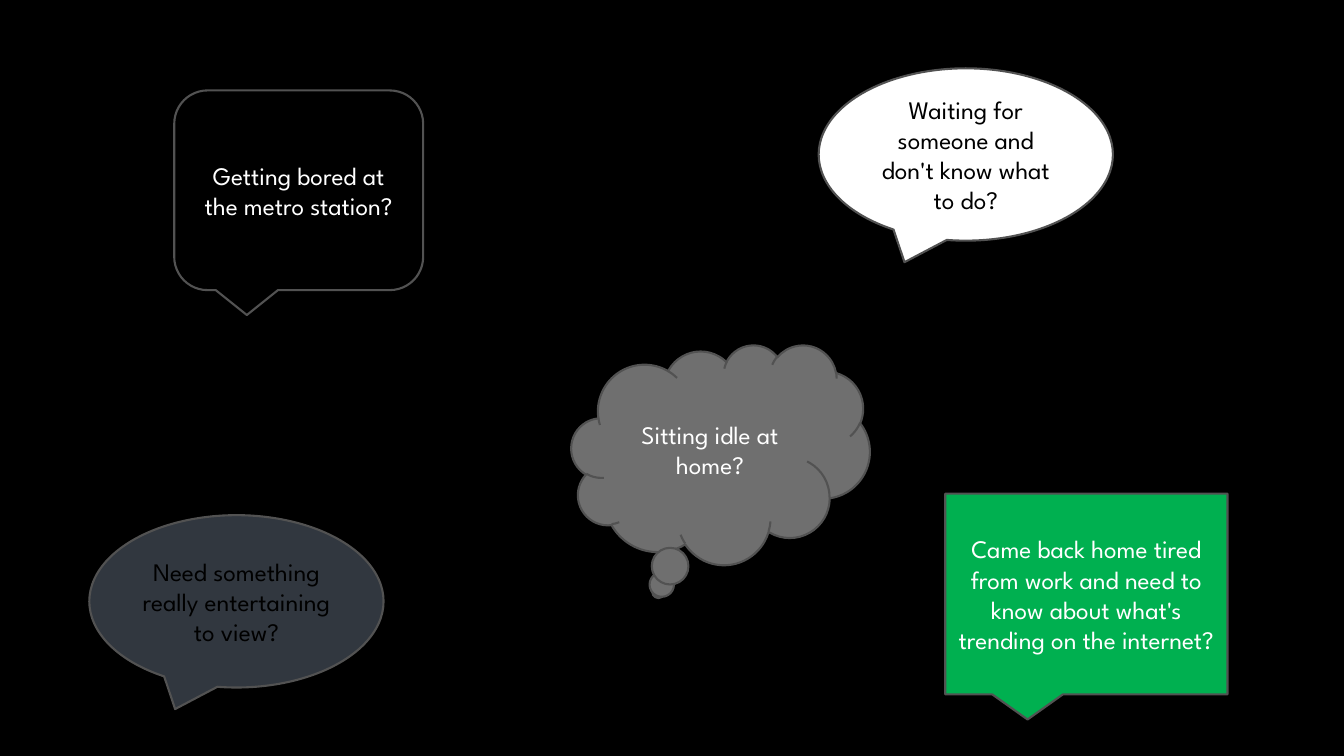
"""Build a slide of five speech bubbles on a black background."""
from pptx import Presentation
from pptx.dml.color import RGBColor
from pptx.enum.shapes import MSO_SHAPE as Preset
from pptx.enum.text import MSO_ANCHOR as Anchor, PP_ALIGN as Align
from pptx.util import Pt

COLORS = {
    "black": "000000",
    "white": "FFFFFF",
    "outline": "525252",
    "gray": "6F6F6F",
    "slate": "31373F",
    "green": "00B050",
}
FONT = "League Spartan"
ELLIPSE_SIZE = (210.2, 123.1)

BUBBLES = [
    ("Getting bored at the metro station?", Preset.ROUNDED_RECTANGULAR_CALLOUT,
     (124.5, 64.6), (177.8, 142.6), "black", "white"),
    ("Sitting idle at home?", Preset.CLOUD_CALLOUT,
     (408.2, 246.2), (213.1, 157), "gray", "white"),
    ("Need something really entertaining to view?", Preset.OVAL_CALLOUT,
     (63.8, 368), ELLIPSE_SIZE, "slate", "black"),
    ("Came back home tired from work and need to know about what's trending on the internet?",
     Preset.RECTANGULAR_CALLOUT, (675.2, 352.6), (201.6, 143.4), "green", "white"),
    ("Waiting for someone and don't know what to do?", Preset.OVAL_CALLOUT,
     (584.8, 48.8), ELLIPSE_SIZE, "white", "black"),
]


def paint(fill, color):
    fill.solid()
    fill.fore_color.rgb = RGBColor.from_string(COLORS[color])


def write_text(shape, text, *, color, size=18, font=FONT, align=Align.CENTER):
    frame = shape.text_frame
    frame.word_wrap = True
    frame.vertical_anchor = Anchor.MIDDLE
    paragraph = frame.paragraphs[0]
    paragraph.alignment = align
    run = paragraph.add_run()
    run.text = text
    run.font.name = font
    run.font.size = Pt(size)
    run.font.color.rgb = RGBColor.from_string(COLORS[color])


def add_bubble(slide, text, preset, position, size, fill, text_color):
    shape = slide.shapes.add_shape(preset, *map(Pt, position + size))
    shape.shadow.inherit = False
    paint(shape.fill, fill)
    paint(shape.line.fill, "outline")
    shape.line.width = Pt(1.5)
    write_text(shape, text, color=text_color)


def main():
    presentation = Presentation()
    presentation.slide_width, presentation.slide_height = Pt(960), Pt(540)
    slide = presentation.slides.add_slide(presentation.slide_layouts[6])
    paint(slide.background.fill, "black")
    for bubble in BUBBLES:
        add_bubble(slide, *bubble)
    presentation.save("out.pptx")


if __name__ == "__main__":
    main()
